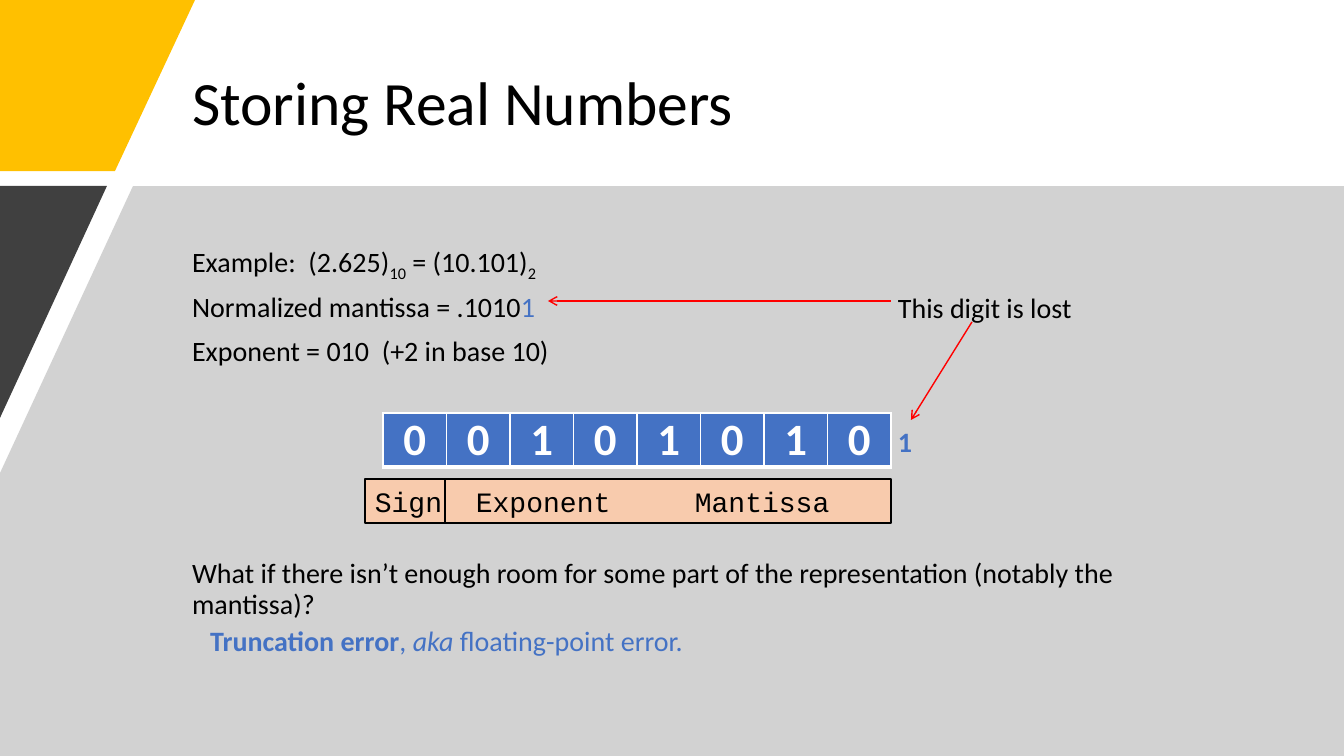
from lxml import etree
from pptx import Presentation
from pptx import util as u
from pptx.dml.color import RGBColor
from pptx.enum import shapes, text
from pptx.oxml import ns

SCALE = 914400 / 100.8
BLACK = RGBColor(0, 0, 0)
WHITE = RGBColor(255, 255, 255)
BLUE = RGBColor(0x44, 0x72, 0xC4)
RED = RGBColor(255, 0, 0)
YELLOW = RGBColor(0xFF, 0xC0, 0)
GRAY = RGBColor(0xA6, 0xA6, 0xA6)
CHARCOAL = RGBColor(0x40, 0x40, 0x40)
PEACH = RGBColor(0xF8, 0xCB, 0xAD)


def px(length):
    return u.Emu(round(length * SCALE))


def write(paragraph, words, size=20, color=BLACK, font="Calibri", bold=False, italic=False, baseline=0):
    run = paragraph.add_run()
    run.text = words
    run.font.name = font
    run.font.size = u.Pt(size)
    run.font.bold = bold
    run.font.italic = italic
    run.font.color.rgb = color
    if baseline:
        run._r.get_or_add_rPr().set("baseline", str(baseline * 1000))


presentation = Presentation()
presentation.slide_width = px(1344)
presentation.slide_height = px(756)
slide = presentation.slides.add_slide(presentation.slide_layouts[1])

title = slide.shapes.title
body = slide.placeholders[1]
for placeholder, top, height, anchor in (
    (title, 40, 131, text.MSO_ANCHOR.MIDDLE),
    (body, 240, 446, text.MSO_ANCHOR.TOP),
):
    placeholder.left, placeholder.top = px(182), px(top)
    placeholder.width, placeholder.height = px(1032), px(height)
    placeholder.text_frame.vertical_anchor = anchor
    placeholder.text_frame.auto_size = text.MSO_AUTO_SIZE.NONE
    placeholder.text_frame.word_wrap = True

heading = title.text_frame.paragraphs[0]
heading.alignment = text.PP_ALIGN.LEFT
heading.line_spacing = 0.9
write(heading, "Storing Real Numbers", size=44)

for points, color in (
    ([(0, 0), (195, 0), (115, 171), (0, 171)], YELLOW),
    ([(133, 186), (1344, 186), (1344, 756), (0, 756), (0, 473)], GRAY),
    ([(0, 186), (107, 186), (0, 418)], CHARCOAL),
):
    builder = slide.shapes.build_freeform(*points[0], scale=SCALE)
    builder.add_line_segments(points[1:])
    panel = builder.convert_to_shape()
    panel.shadow.inherit = False
    panel.fill.solid()
    panel.fill.fore_color.rgb = color
    panel.line.fill.background()
    if color == GRAY:
        rgb = panel.element.spPr.find(ns.qn("a:solidFill"))[0]
        etree.SubElement(rgb, ns.qn("a:alpha"), val="50000")

slide.shapes.element.append(body.element)
body_lines = [
    (0, [("Example:  (2.625)", {}), ("10", {"baseline": -25}), (" = (10.101)", {}), ("2", {"baseline": -25})]),
    (10, [("Normalized mantissa = .1010", {}), ("1", {"color": BLUE})]),
    (10, [("Exponent = 010  (+2 in base 10)", {})]),
    (137, [("What if there isn’t enough room for some part of the representation (notably the mantissa)?", {})]),
    (5, [
        ("Truncation error", {"color": BLUE, "bold": True}),
        (", ", {"color": BLUE}),
        ("aka", {"color": BLUE, "italic": True}),
        (" floating-point error.", {"color": BLUE}),
    ]),
]
for index, (space, runs) in enumerate(body_lines):
    paragraph = body.text_frame.paragraphs[0] if index == 0 else body.text_frame.add_paragraph()
    answer = index == len(body_lines) - 1
    paragraph.level = int(answer)
    paragraph.line_spacing = 0.9
    paragraph.space_before = u.Pt(space)
    properties = paragraph._p.get_or_add_pPr()
    properties.set("marL", str(px(18 if answer else 0)))
    properties.set("indent", "0")
    etree.SubElement(properties, ns.qn("a:buNone"))
    for words, style in runs:
        write(paragraph, words, **style)

for words, top, width, style in (
    ("This digit is lost", 290, 200, {}),
    ("1", 424, 30, {"color": BLUE, "bold": True}),
):
    note = slide.shapes.add_textbox(px(898), px(top), px(width), px(34)).text_frame
    note.margin_left = note.margin_right = note.margin_top = note.margin_bottom = 0
    note.word_wrap = True
    write(note.paragraphs[0], words, **style)

bits = "00101010"
frame = slide.shapes.add_table(1, len(bits), px(383), px(413), px(508), px(53))
table = frame.table
table.first_row = table.horz_banding = False
for cell, bit in zip(table.rows[0].cells, bits):
    cell.margin_left = cell.margin_right = px(7)
    cell.margin_top = cell.margin_bottom = 0
    cell.vertical_anchor = text.MSO_ANCHOR.MIDDLE
    for side, width in (("L", 1), ("R", 1), ("T", 1), ("B", 3)):
        border = etree.SubElement(cell._tc.get_or_add_tcPr(), ns.qn("a:ln" + side), w=str(u.Pt(width)))
        fill = etree.SubElement(border, ns.qn("a:solidFill"))
        etree.SubElement(fill, ns.qn("a:srgbClr"), val=str(WHITE))
    cell.fill.solid()
    cell.fill.fore_color.rgb = BLUE
    paragraph = cell.text_frame.paragraphs[0]
    paragraph.alignment = text.PP_ALIGN.CENTER
    write(paragraph, bit, size=32, color=WHITE, bold=True)

labels = slide.shapes.add_shape(shapes.MSO_SHAPE.RECTANGLE, px(365), px(479), px(526), px(44))
labels.shadow.inherit = False
labels.fill.solid()
labels.fill.fore_color.rgb = PEACH
labels.line.color.rgb = BLACK
labels.line.width = u.Pt(1)
labels.text_frame.word_wrap = True
labels.text_frame.vertical_anchor = text.MSO_ANCHOR.MIDDLE
label_line = labels.text_frame.paragraphs[0]
label_line.alignment = text.PP_ALIGN.LEFT
tabs = etree.SubElement(label_line._p.get_or_add_pPr(), ns.qn("a:tabLst"))
for stop in (101, 320):
    etree.SubElement(tabs, ns.qn("a:tab"), pos=str(px(stop)), algn="l")
write(label_line, "Sign\tExponent\tMantissa", font="Courier New")

for start, end, color, arrow in (
    ((445, 479), (445, 523), BLACK, False),
    ((891, 301), (548, 301), RED, True),
    ((972, 322), (911, 420), RED, True),
):
    points = [px(value) for value in start + end]
    line = slide.shapes.add_connector(shapes.MSO_CONNECTOR.STRAIGHT, *points)
    line.line.color.rgb = color
    line.line.width = u.Pt(1)
    if arrow:
        etree.SubElement(line.line._get_or_add_ln(), ns.qn("a:tailEnd"), type="arrow")
    etree.SubElement(line.element.spPr, ns.qn("a:effectLst"))

presentation.save("out.pptx")
